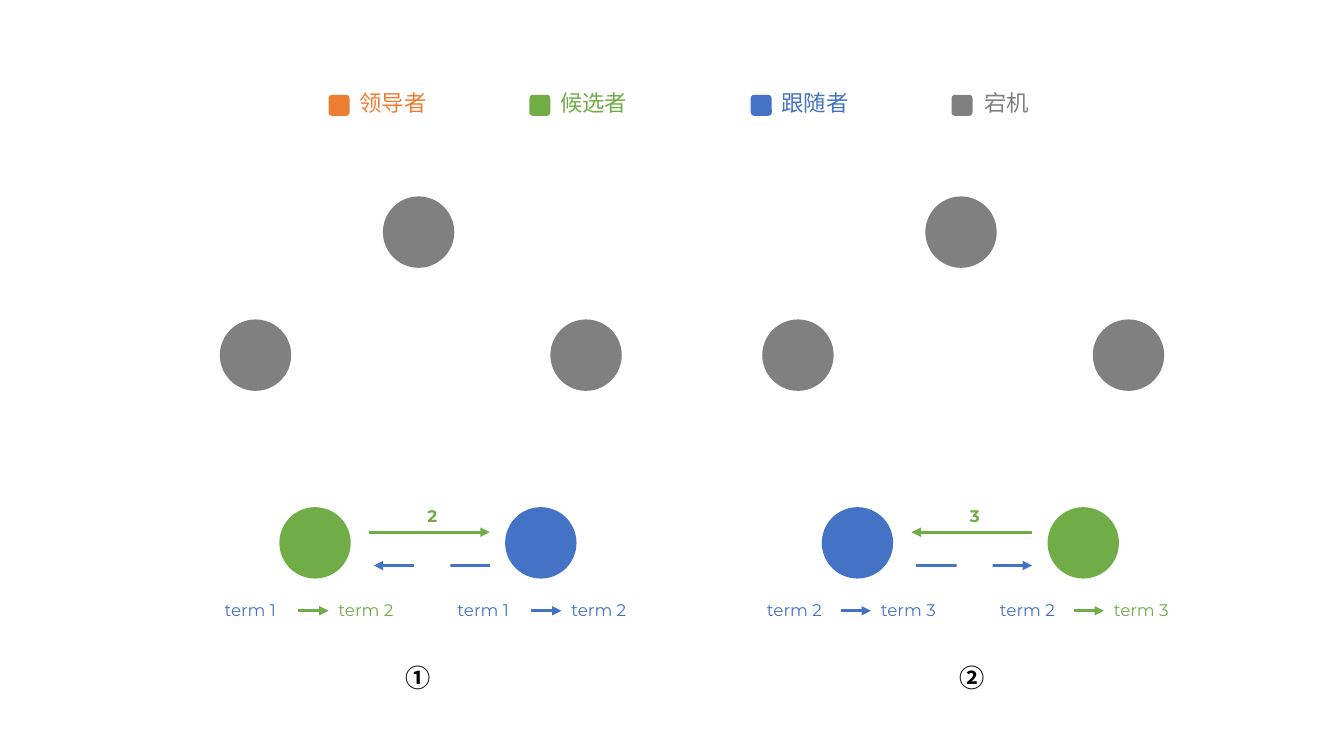
"""Build a slide showing two rounds of a split leader election."""
from lxml.etree import SubElement
from pptx import Presentation
from pptx.dml.color import RGBColor
from pptx.enum.shapes import MSO_CONNECTOR, MSO_SHAPE
from pptx.oxml.ns import qn
from pptx.util import Cm, Pt

ORANGE, GREEN, BLUE, GRAY = "ED7D31", "70AD47", "4472C4", "808080"
WHITE, BLACK = "FFFFFF", "000000"
LATIN, CHINESE = "Montserrat", "Noto Sans CJK SC"

prs = Presentation()
prs.slide_width, prs.slide_height = Cm(33.87), Cm(19.05)
s = prs.slides.add_slide(prs.slide_layouts[6])


def draw(kind, x, y, size, color):
    sp = s.shapes.add_shape(kind, Cm(x), Cm(y), Cm(size), Cm(size))
    sp.shadow.inherit = False
    sp.fill.solid()
    sp.fill.fore_color.rgb = RGBColor.from_string(color)
    sp.line.fill.background()


def write(text, x, y, w, h, size, color, font=LATIN, bold=False):
    tf = s.shapes.add_textbox(Cm(x), Cm(y), Cm(w), Cm(h)).text_frame
    tf.word_wrap = True
    tf.text = text
    r = tf.paragraphs[0].runs[0]
    r.font.size, r.font.bold, r.font.name = Pt(size), bold, font
    r.font.color.rgb = RGBColor.from_string(color)
    SubElement(r.font._element, qn("a:ea")).set("typeface", font)


legend = [("领导者", 8.28, 8.81, ORANGE), ("候选者", 13.34, 13.87, GREEN),
          ("跟随者", 18.92, 19.45, BLUE), ("宕机", 23.98, 24.56, GRAY)]
for label, x, text_x, color in legend:
    draw(MSO_SHAPE.ROUNDED_RECTANGLE, x, 2.39, 0.53, color)
    write(label, text_x, 2.13, 2.54, 0.94, 16, color, CHINESE)

rounds = [("①", 0, 9.96, 1, (GREEN, BLUE)), ("②", 13.67, 23.93, 2, (BLUE, GREEN))]
for number, dx, number_x, term, colors in rounds:
    for x, y in [(9.65, 4.95), (5.54, 8.05), (13.87, 8.05)]:
        draw(MSO_SHAPE.OVAL, dx + x, y, 1.8, GRAY)

    request, reply = (9.3, 12.34), (12.34, 9.42)
    if colors[0] == BLUE:
        request, reply = request[::-1], reply[::-1]
    arrows = [(*request, 13.41, GREEN), (*reply, 14.25, BLUE)]

    for i, color in enumerate(colors):
        draw(MSO_SHAPE.OVAL, dx + 7.04 + 5.69 * i, 12.78, 1.8, color)
        x = 5.41 + 5.87 * i
        write(f"term {term}", dx + x, 14.99, 2.11, 0.76, 12, BLUE)
        write(f"term {term + 1}", dx + x + 2.87, 14.99, 2.11, 0.76, 12, color)
        arrows.append((x + 2.11, x + 2.87, 15.39, color))

    for x1, x2, y, color in arrows:
        line = s.shapes.add_connector(MSO_CONNECTOR.STRAIGHT,
                                      Cm(dx + x1), Cm(y), Cm(dx + x2), Cm(y))
        line.line.width = Pt(2.25)
        line.line.color.rgb = RGBColor.from_string(color)
        SubElement(line.line._get_or_add_ln(), qn("a:tailEnd")).set("type", "triangle")
        SubElement(line._element.spPr, qn("a:effectLst"))

    write(str(term + 1), dx + 10.52, 12.62, 0.81, 0.76, 12, GREEN, bold=True)
    draw(MSO_SHAPE.RECTANGLE, dx + 10.44, 13.74, 0.91, WHITE)
    write(number, number_x, 16.56, 1.24, 1.02, 18, BLACK, CHINESE, True)

prs.save("out.pptx")
